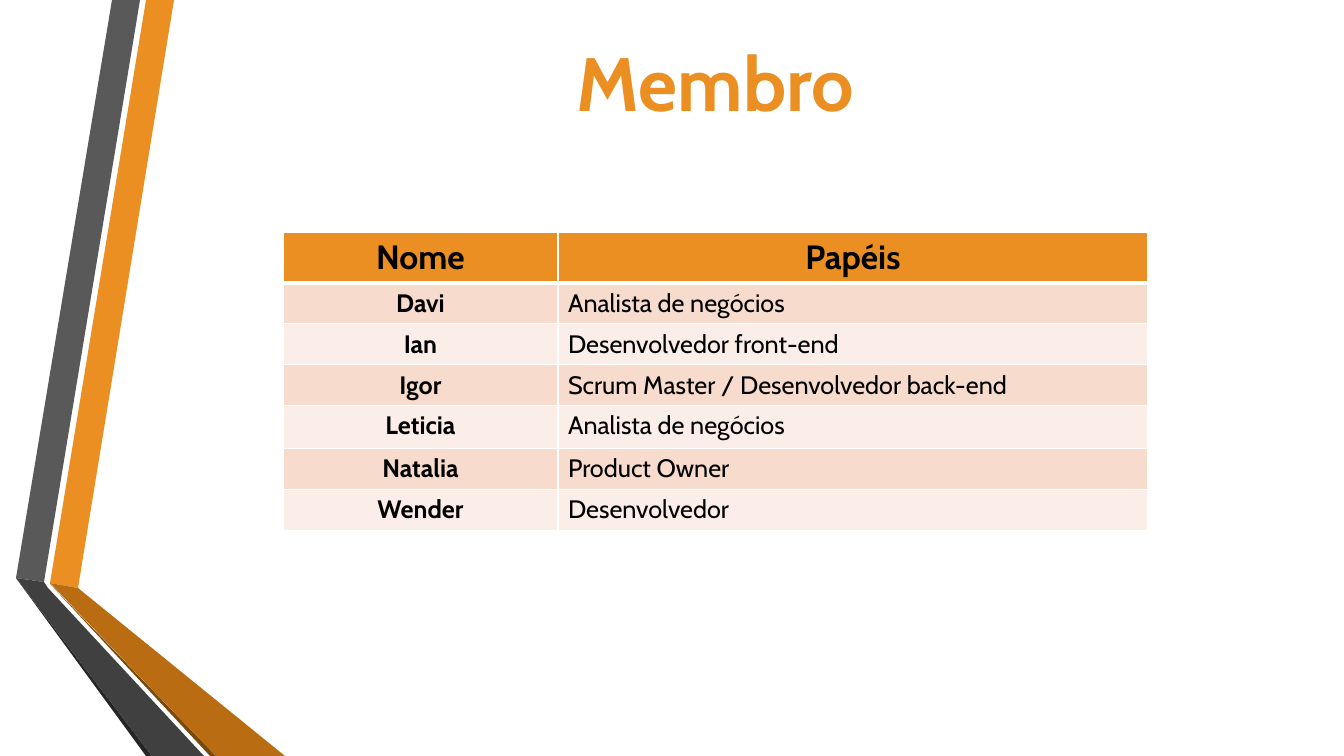
from typing import NamedTuple

import pptx
import pptx.dml.color
import pptx.enum.text
import pptx.oxml
import pptx.oxml.ns
import pptx.util

PIXEL = 914400 / 100.8
FONT = "Cabin"
ORANGE = "EB8F22"
BLACK = "000000"
WHITE = "FFFFFF"
BAND_COLORS = ("F7DBCD", "FBEEE8")
CENTER = pptx.enum.text.PP_ALIGN.CENTER
LEFT = pptx.enum.text.PP_ALIGN.LEFT
MIDDLE = pptx.enum.text.MSO_ANCHOR.MIDDLE
TOP = pptx.enum.text.MSO_ANCHOR.TOP


class Ribbon(NamedTuple):
    color: str
    points: list[tuple[int, int]]


class Member(NamedTuple):
    name: str
    role: str
    height: int = 40


RIBBONS = [
    Ribbon(ORANGE, [(50, 583), (78, 588), (174, 0), (146, 0)]),
    Ribbon("595959", [(140, 0), (112, 0), (16, 578), (44, 582)]),
    Ribbon("262626", [(16, 578), (146, 756), (152, 756)]),
    Ribbon("7B480B", [(50, 584), (210, 756), (216, 756)]),
    Ribbon("B96C11", [(50, 583), (216, 756), (285, 756), (78, 588)]),
    Ribbon("404040", [(16, 578), (152, 756), (204, 756), (48, 588), (44, 582)]),
]
HEADER = Member("Nome", "Papéis", 50)
MEMBERS = [
    Member("Davi", "Analista de negócios"),
    Member("Ian", "Desenvolvedor front-end"),
    Member("Igor", "Scrum Master / Desenvolvedor back-end"),
    Member("Leticia", "Analista de negócios", 43),
    Member("Natalia", "Product Owner"),
    Member("Wender", "Desenvolvedor"),
]
COLUMN_WIDTHS = (275, 590)


def px(length: int) -> int:
    return round(length * PIXEL)


def rgb(color: str) -> pptx.dml.color.RGBColor:
    return pptx.dml.color.RGBColor.from_string(color)


def fill_solid(target, color: str) -> None:
    target.fill.solid()
    target.fill.fore_color.rgb = rgb(color)


def write_text(frame, text: str, *, size: int, color: str = BLACK,
               bold: bool = True, align=CENTER) -> None:
    paragraph = frame.paragraphs[0]
    paragraph.alignment = align
    run = paragraph.add_run()
    run.text = text
    run.font.name = FONT
    run.font.size = pptx.util.Pt(size)
    run.font.bold = bold
    run.font.color.rgb = rgb(color)


def draw_ribbon(slide, ribbon: Ribbon) -> None:
    start, *rest = ribbon.points
    builder = slide.shapes.build_freeform(*start, scale=PIXEL)
    builder.add_line_segments(rest, close=True)
    shape = builder.convert_to_shape()
    shape.shadow.inherit = False
    shape.line.fill.background()
    fill_solid(shape, ribbon.color)


def add_borders(cell, *, top: int, bottom: int) -> None:
    properties = cell._tc.get_or_add_tcPr()
    for side, width in (("L", 1), ("R", 1), ("T", top), ("B", bottom)):
        properties.append(pptx.oxml.parse_xml(
            f'<a:ln{side} {pptx.oxml.ns.nsdecls("a")} w="{pptx.util.Pt(width)}">'
            f'<a:solidFill><a:srgbClr val="{WHITE}"/></a:solidFill></a:ln{side}>'
        ))


def draw_members(slide, left: int, top: int) -> None:
    rows = [HEADER, *MEMBERS]
    table = slide.shapes.add_table(
        len(rows), len(COLUMN_WIDTHS), px(left), px(top),
        px(sum(COLUMN_WIDTHS)), px(sum(row.height for row in rows)),
    ).table
    table.horz_banding = False
    for column, width in zip(table.columns, COLUMN_WIDTHS):
        column.width = px(width)
    for row_index, member in enumerate(rows):
        table.rows[row_index].height = px(member.height)
        is_header = row_index == 0
        color = ORANGE if is_header else BAND_COLORS[(row_index - 1) % 2]
        for column_index, text in enumerate((member.name, member.role)):
            cell = table.cell(row_index, column_index)
            emphasized = is_header or column_index == 0
            add_borders(cell, top=3 if row_index == 1 else 1,
                        bottom=3 if is_header else 1)
            fill_solid(cell, color)
            cell.vertical_anchor = MIDDLE if is_header else TOP
            write_text(cell.text_frame, text, size=24 if is_header else 18,
                       bold=emphasized, align=CENTER if emphasized else LEFT)


def draw_title(slide, text: str) -> None:
    box = slide.shapes.add_textbox(px(558), px(31), px(315), px(102))
    box.text_frame.word_wrap = False
    write_text(box.text_frame, text, size=54, color=ORANGE)


presentation = pptx.Presentation()
presentation.slide_width = px(1344)
presentation.slide_height = px(756)
slide = presentation.slides.add_slide(presentation.slide_layouts[6])
fill_solid(slide.background, WHITE)
for ribbon in RIBBONS:
    draw_ribbon(slide, ribbon)
draw_members(slide, 283, 232)
draw_title(slide, "Membro")
presentation.save("out.pptx")
